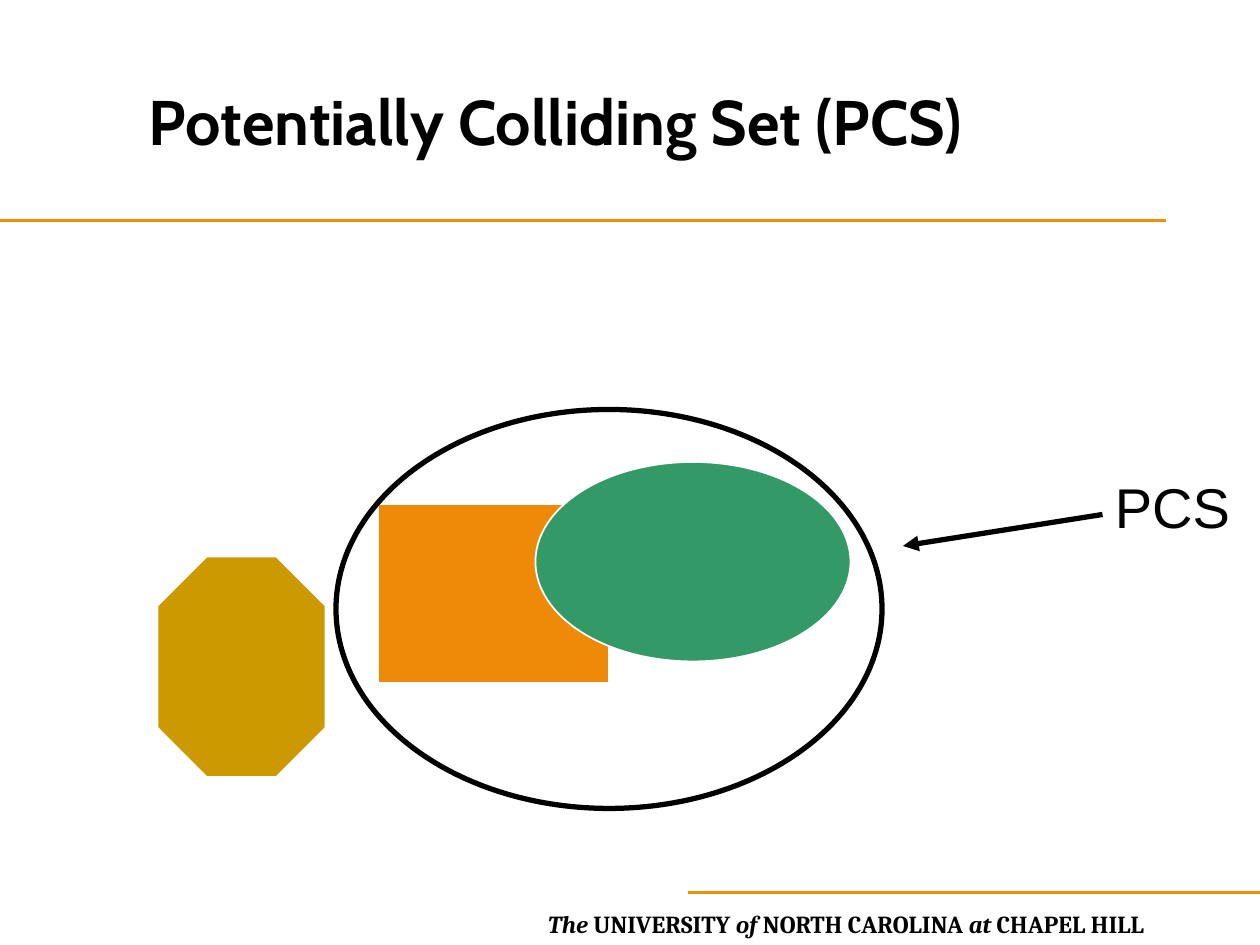
import pptx
import pptx.util
import pptx.dml.color
import pptx.enum.shapes
import pptx.enum.text
import pptx.oxml.ns
import lxml.etree

Pt = pptx.util.Pt
RGBColor = pptx.dml.color.RGBColor
SHAPE = pptx.enum.shapes.MSO_SHAPE
ANCHOR = pptx.enum.text.MSO_ANCHOR
qn = pptx.oxml.ns.qn

BLACK = RGBColor(0x00, 0x00, 0x00)
WHITE = RGBColor(0xFF, 0xFF, 0xFF)
RULE_ORANGE = RGBColor(0xEF, 0x91, 0x00)
ORANGE = RGBColor(0xEF, 0x8A, 0x09)
GREEN = RGBColor(0x33, 0x99, 0x66)
GOLD = RGBColor(0xCC, 0x99, 0x00)

deck = pptx.Presentation()
deck.slide_width = Pt(720)
deck.slide_height = Pt(540)
page = deck.slides.add_slide(deck.slide_layouts[6])


def add_line(start, end, color, width):
    line = page.shapes.add_connector(
        pptx.enum.shapes.MSO_CONNECTOR.STRAIGHT, *map(Pt, start + end))
    line.line.color.rgb = color
    line.line.width = Pt(width)
    lxml.etree.SubElement(line.element.spPr, qn("a:effectLst"))
    return line


def add_text(place, pieces, font, size, bold, anchor=ANCHOR.TOP):
    box = page.shapes.add_textbox(*map(Pt, place))
    box.text_frame.word_wrap = True
    box.text_frame.vertical_anchor = anchor
    para = box.text_frame.paragraphs[0]
    for text, italic in pieces:
        span = para.add_run()
        span.text = text
        span.font.name = font
        span.font.size = Pt(size)
        span.font.bold = bold
        span.font.italic = italic
        span.font.color.rgb = BLACK


add_line((0, 126), (666, 126), RULE_ORANGE, 2)
add_line((393, 510), (720, 510), RULE_ORANGE, 2)

university = [
    ("The", True), (" UNIVERSITY ", False), ("of ", True),
    ("NORTH CAROLINA ", False), ("at ", True), ("CHAPEL HILL", False),
]
add_text((306, 516, 414, 24.5), university, "Cambria", 14, True)
add_text((78, 36, 582, 66), [("Potentially Colliding Set (PCS)", False)],
         "Cabin", 36, True, ANCHOR.MIDDLE)

objects = [
    (SHAPE.RECTANGLE, (216, 288, 132, 102), ORANGE, WHITE, 1),
    (SHAPE.OVAL, (306, 264, 180, 114), GREEN, WHITE, 1),
    (SHAPE.OCTAGON, (90, 318, 96, 126), GOLD, WHITE, 1),
    (SHAPE.OVAL, (192, 234, 312, 228), None, BLACK, 3),
]
for kind, place, fill, outline, width in objects:
    shape = page.shapes.add_shape(kind, *map(Pt, place))
    shape.shadow.inherit = False
    if fill is None:
        shape.fill.background()
    else:
        shape.fill.solid()
        shape.fill.fore_color.rgb = fill
    shape.line.color.rgb = outline
    shape.line.width = Pt(width)

arrow = add_line((516, 312), (630, 294), BLACK, 3)
lxml.etree.SubElement(arrow.line._get_or_add_ln(), qn("a:headEnd"), type="triangle")
add_text((630, 266.5, 108, 46), [("PCS", False)], "Arial", 32, False)

deck.save("out.pptx")
